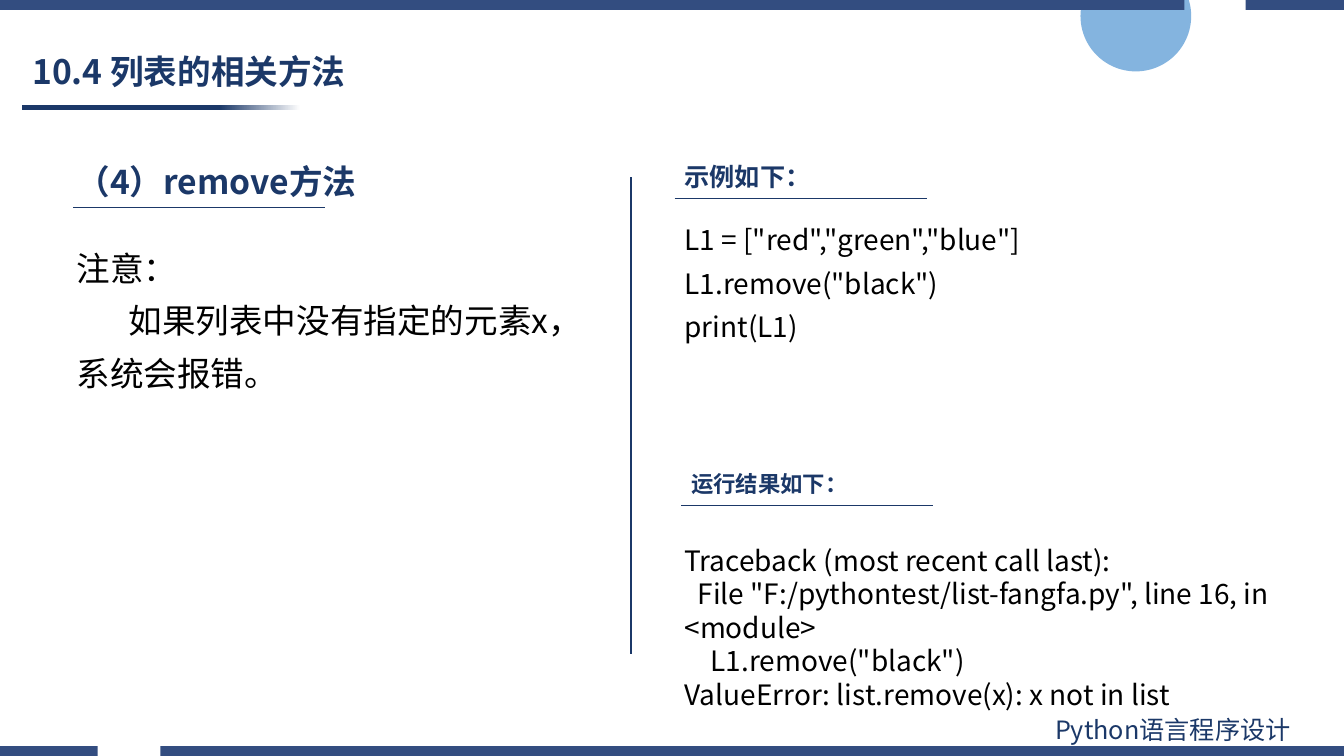
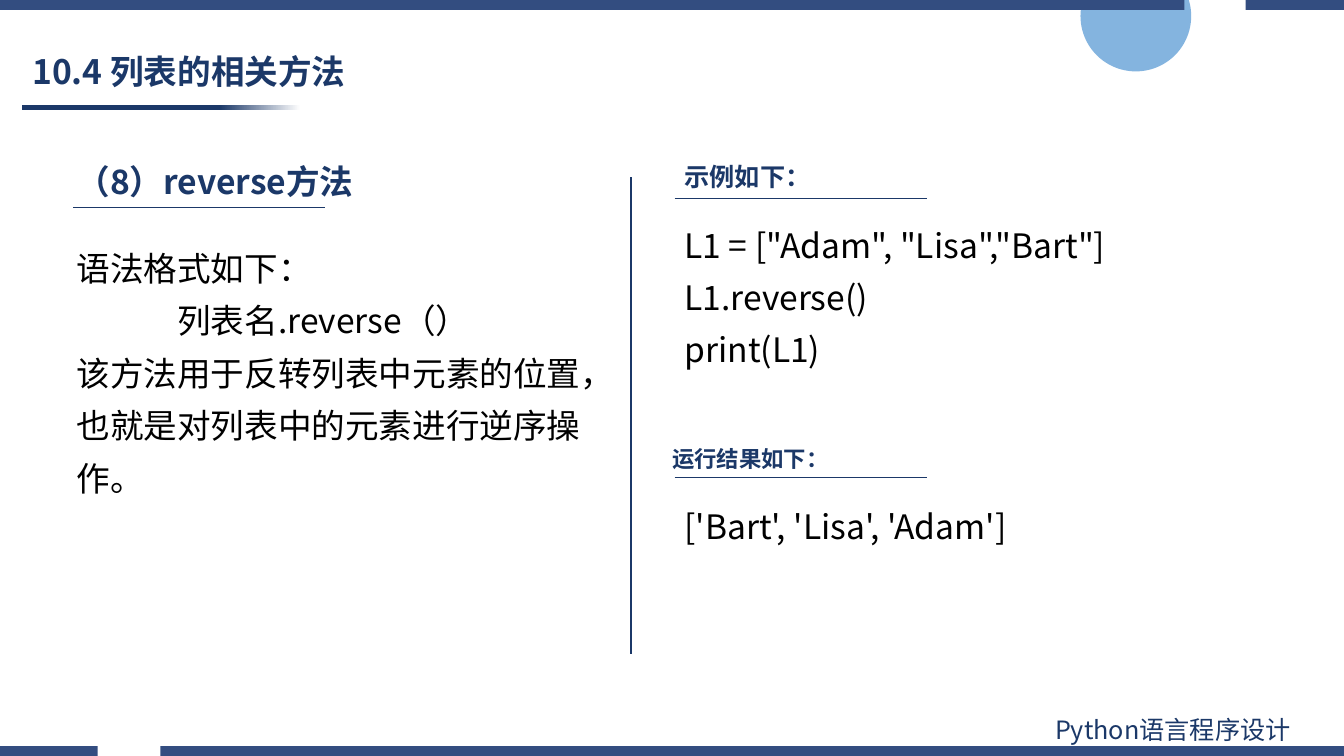
from pptx import Presentation
from pptx.dml.color import RGBColor
from pptx.enum.shapes import MSO_CONNECTOR, MSO_SHAPE
from pptx.enum.text import MSO_ANCHOR, PP_ALIGN
from pptx.oxml.ns import qn
from pptx.util import Cm, Pt
from lxml.etree import SubElement

FONT = "Noto Sans CJK SC"
HUES = {"navy": "1B3868", "band": "334D80", "sky": "5B9BD5",
        "black": "000000", "white": "FFFFFF"}
RGB = {name: RGBColor.from_string(code) for name, code in HUES.items()}


def write(frame, lines, size, hue="black", bold=False, space=None):
    frame.word_wrap = True
    frame.text = "\n".join(text for text, indent in lines)
    for para, (text, indent) in zip(frame.paragraphs, lines):
        para.alignment = PP_ALIGN.LEFT
        para.line_spacing = space
        if indent:
            para._p.get_or_add_pPr().set("indent", str(Cm(indent)))
        for run in para.runs:
            font = run.font
            font.name, font.size, font.bold = FONT, Pt(size), bold
            font.color.rgb = RGB[hue]
            SubElement(font._element, qn("a:ea"), typeface=FONT)


def rule(slide, x1, y1, x2, y2, width):
    line = slide.shapes.add_connector(
        MSO_CONNECTOR.STRAIGHT, Cm(x1), Cm(y1), Cm(x2), Cm(y2))
    line.line.color.rgb = RGB["navy"]
    line.line.width = Pt(width)
    SubElement(line._element.spPr, qn("a:effectLst"))


PAGES = [
    {
        "head": "（4）remove方法",
        "notes": [("注意：", 0),
                  ("如果列表中没有指定的元素x，系统会报错。", 1.31)],
        "code": ['L1 = ["red","green","blue"]', 'L1.remove("black")', "print(L1)"],
        "size": 20,
        "label": (17.17, 11.71),
        "line": (17.17, 12.73),
        "top": 13.56,
        "result": [("Traceback (most recent call last):", 0),
                   ('File "F:/pythontest/list-fangfa.py", line 16, in <module>', 0.33),
                   ('L1.remove("black")', 0.66),
                   ("ValueError: list.remove(x): x not in list", 0)],
    },
    {
        "head": "（8）reverse方法",
        "notes": [("语法格式如下：", 0),
                  ("列表名.reverse（）", 2.54),
                  ("该方法用于反转列表中元素的位置，也就是对列表中的元素进行逆序操作。", 0)],
        "code": ['L1 = ["Adam", "Lisa","Bart"]', "L1.reverse()", "print(L1)"],
        "size": 24,
        "label": (16.69, 11.1),
        "line": (17, 12.04),
        "top": 12.62,
        "result": [("['Bart', 'Lisa', 'Adam']", 0)],
    },
]

deck = Presentation()
deck.slide_width, deck.slide_height = Cm(33.87), Cm(19.05)
layout = deck.slide_layouts[5]
for holder in list(layout.placeholders):
    if holder.placeholder_format.idx:
        holder.element.getparent().remove(holder.element)
    else:
        holder.left, holder.top = Cm(0.56), Cm(1.14)
        holder.width, holder.height = Cm(15.34), Cm(1.42)
        holder.text_frame.vertical_anchor = MSO_ANCHOR.MIDDLE

slides = [deck.slides.add_slide(layout) for page in PAGES]
shapes = slides[0].shapes

disc = shapes.add_shape(MSO_SHAPE.OVAL, Cm(27.23), Cm(-0.99), Cm(2.79), Cm(2.79))
disc.fill.solid()
disc.fill.fore_color.rgb = RGB["sky"]
tint = disc._element.spPr.find(".//" + qn("a:srgbClr"))
SubElement(tint, qn("a:alpha"), val="75000")

bar = shapes.add_shape(MSO_SHAPE.RECTANGLE, Cm(0.56), Cm(2.65), Cm(7.01), Cm(0.13))
bar.fill.gradient()
bar.fill.gradient_angle = 0
for stop, hue, place in zip(bar.fill.gradient_stops, ("navy", "white"), (0.71, 1)):
    stop.color.rgb = RGB[hue]
    stop.position = place

decor = [disc, bar]
for top, spans in ((18.8, ((0, 2.46), (4.04, 33.87))),
                   (0, ((0, 29.85), (31.39, 33.87)))):
    pen = shapes.build_freeform(Cm(0), Cm(top))
    for left, right in spans:
        pen.move_to(Cm(left), Cm(top))
        pen.add_line_segments([(Cm(right), Cm(top)),
                               (Cm(right), Cm(top + 0.25)),
                               (Cm(left), Cm(top + 0.25))])
    band = pen.convert_to_shape()
    band.fill.solid()
    band.fill.fore_color.rgb = RGB["band"]
    decor.append(band)

for shape in decor:
    shape.line.fill.background()
    shape.shadow.inherit = False

foot = shapes.add_textbox(Cm(26.34), Cm(17.88), Cm(7.47), Cm(1.02))
write(foot.text_frame, [("Python语言程序设计", 0)], 18, "navy")
for shape in decor + [foot]:
    layout.element.cSld.spTree.append(shape.element)

for slide, page in zip(slides, PAGES):
    write(slide.shapes.title.text_frame, [("10.4 列表的相关方法", 0)],
          24, "navy", True, 0.9)
    rule(slide, 15.9, 4.47, 15.9, 16.48, 2)

    for text, size, (x, y), (start, level) in (
            (page["head"], 24, (1.68, 3.94), (1.85, 5.23)),
            ("示例如下：", 18, (17, 3.94), (17, 5)),
            ("运行结果如下：", 16, page["label"], page["line"])):
        box = slide.shapes.add_textbox(Cm(x), Cm(y), Cm(8.64), Cm(1))
        write(box.text_frame, [(text, 0)], size, "navy", True)
        rule(slide, start, level, start + 6.35, level, 0.5)

    code = [(text, 0) for text in page["code"]]
    for lines, size, x, y, width, height, space in (
            (page["notes"], 24, 1.68, 5.82, 13.77, 4.27, 1.3),
            (code, page["size"], 17, 5.23, 16, 4.7, 1.3),
            (page["result"], page["size"], 17, page["top"], 16.8, 1.27, None)):
        box = slide.shapes.add_textbox(Cm(x), Cm(y), Cm(width), Cm(height))
        write(box.text_frame, lines, size, space=space)

deck.save("out.pptx")
